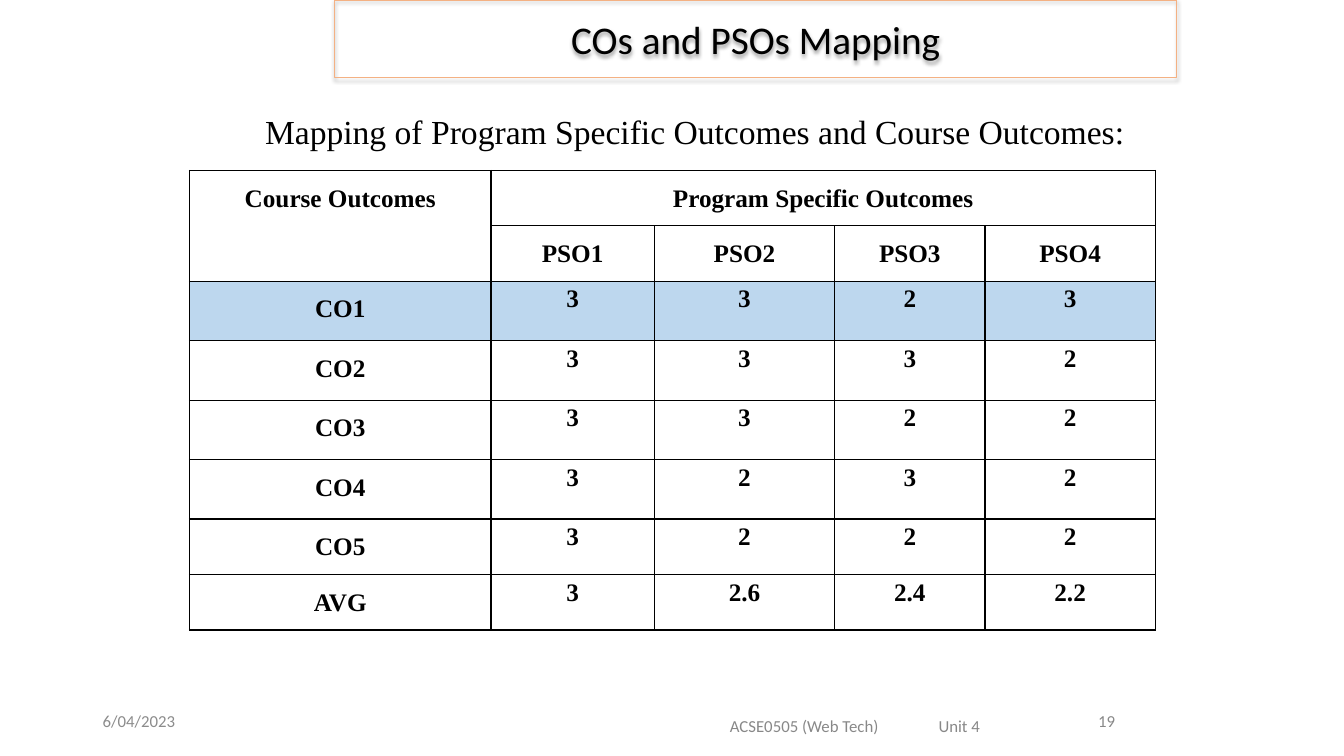
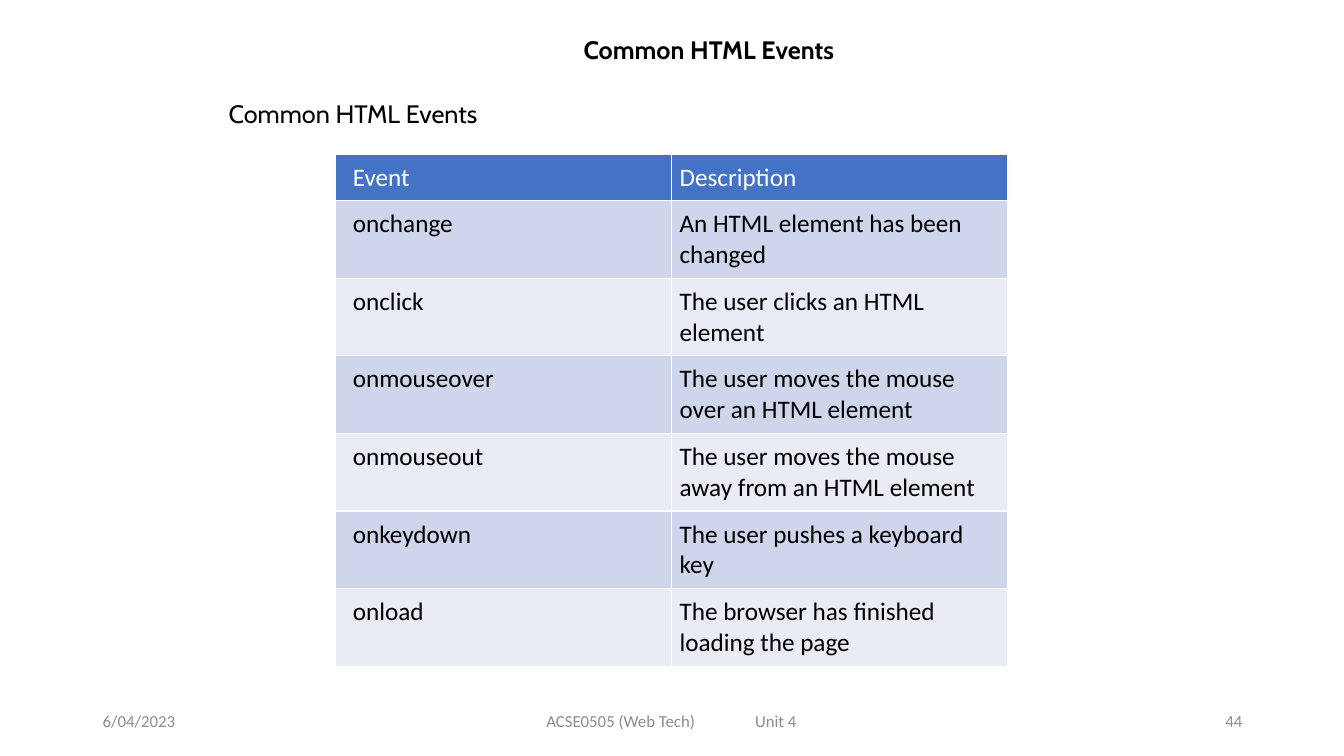
import pptx
import pptx.util
import pptx.dml.color
import pptx.enum.text
import pptx.oxml
import pptx.oxml.ns

PX = 9144  # 100 px to the inch
COLORS = {
    "black": "000000", "white": "FFFFFF", "grey": "8C8C8C", "light grey": "888888",
    "orange": "F4B183", "current": "BDD7EE",
    "header": "4472C4", "odd": "CFD5EA", "even": "E9EBF5",
}
ALIGN = pptx.enum.text.PP_ALIGN
ANCHOR = pptx.enum.text.MSO_ANCHOR
NAMESPACE = pptx.oxml.ns.nsdecls("a")
FOOTER_FONT = {"name": "Calibri", "size": pptx.util.Pt(12)}


def write(frame, text, font, color="black", **layout):
    """Put one formatted paragraph into a text frame."""
    para = frame.paragraphs[0]
    span = para.add_run()
    span.text = text
    for name, value in layout.items():
        setattr(para, name, value)
    for name, value in font.items():
        setattr(span.font, name, value)
    span.font.color.rgb = pptx.dml.color.RGBColor.from_string(COLORS[color])
    return para


def add_grid(page, left, top, widths, heights, border):
    """Add a plain table whose cells all have the same thin border."""
    table = page.shapes.add_table(len(heights), len(widths), left * PX, top * PX,
                                  sum(widths) * PX, sum(heights) * PX).table
    table.first_row = table.horz_banding = False
    for column, width in zip(table.columns, widths):
        column.width = width * PX
    for row, height in zip(table.rows, heights):
        row.height = height * PX
    for cell in table.iter_cells():
        properties = cell._tc.get_or_add_tcPr()
        for side in "LRTB":
            properties.append(pptx.oxml.parse_xml(
                f'<a:ln{side} {NAMESPACE} w="12700"><a:solidFill>'
                f'<a:srgbClr val="{COLORS[border]}"/></a:solidFill></a:ln{side}>'))
    return table


deck = pptx.Presentation()
deck.slide_width, deck.slide_height = 1333 * PX, 750 * PX

# Titles and footers
slides = [
    {"title": "COs and PSOs Mapping", "place": (332, 0, 835, 77),
     "font": {"name": "Calibri", "size": pptx.util.Pt(28), "bold": False},
     "frame": {"vertical_anchor": ANCHOR.MIDDLE, "word_wrap": True},
     "course": (714, 700, 269, 40), "course color": "light grey",
     "number": "19", "number place": (883, 695, 233, 40)},
    {"title": "Common HTML Events", "place": (558, 29, 290, 40),
     "font": {"name": "Cabin", "size": pptx.util.Pt(18), "bold": True},
     "frame": {"vertical_anchor": ANCHOR.TOP, "word_wrap": False},
     "course": (532, 695, 269, 40), "course color": "grey",
     "number": "44", "number place": (942, 695, 300, 40)},
]
pages = []
for slide in slides:
    page = deck.slides.add_slide(deck.slide_layouts[5])
    pages.append(page)
    title = page.shapes.title
    title.left, title.top, title.width, title.height = [n * PX for n in slide["place"]]
    title.text_frame.auto_size = pptx.enum.text.MSO_AUTO_SIZE.NONE
    for name, value in slide["frame"].items():
        setattr(title.text_frame, name, value)
    write(title.text_frame, slide["title"], slide["font"], alignment=ALIGN.CENTER)

    footers = [
        ("6/04/2023", (92, 695, 300, 40), "grey", ALIGN.LEFT),
        ("ACSE0505 (Web Tech)\tUnit 4", slide["course"], slide["course color"], ALIGN.LEFT),
        (slide["number"], slide["number place"], slide["course color"], ALIGN.RIGHT),
    ]
    for text, place, color, alignment in footers:
        frame = page.shapes.add_textbox(*[n * PX for n in place]).text_frame
        frame.word_wrap = True
        frame.vertical_anchor = ANCHOR.MIDDLE
        para = write(frame, text, FOOTER_FONT, color, alignment=alignment)
        if "\t" in text:
            para._p.get_or_add_pPr().append(pptx.oxml.parse_xml(
                f'<a:tabLst {NAMESPACE}><a:tab pos="{207 * PX}" algn="l"/></a:tabLst>'))

# Headings above the tables
headings = [
    ("Mapping of Program Specific Outcomes and Course Outcomes:", (253, 105, 915, 46),
     {"name": "Times New Roman", "size": pptx.util.Pt(24)}, 1.0),
    ("Common HTML Events", (217, 96, 900, 40),
     {"name": "Cabin", "size": pptx.util.Pt(18)}, 0.9),
]
for page, (text, place, font, spacing) in zip(pages, headings):
    frame = page.shapes.add_textbox(*[n * PX for n in place]).text_frame
    frame.word_wrap = True
    write(frame, text, font, line_spacing=spacing)

mapping_page, events_page = pages

# Outlined title with a soft shadow
banner = mapping_page.shapes.title
banner.line.color.rgb = pptx.dml.color.RGBColor.from_string(COLORS["orange"])
banner.line.width = pptx.util.Pt(0.75)
banner._element.spPr.append(pptx.oxml.parse_xml(
    f'<a:effectLst {NAMESPACE}><a:outerShdw blurRad="39370" dist="20320" dir="5400000" '
    f'rotWithShape="0"><a:srgbClr val="{COLORS["black"]}"><a:alpha val="38000"/>'
    '</a:srgbClr></a:outerShdw></a:effectLst>'))

# Outcome mapping table
mapping = [
    ["Course Outcomes", "Program Specific Outcomes", "", "", ""],
    ["", "PSO1", "PSO2", "PSO3", "PSO4"],
    ["CO1", "3", "3", "2", "3"],
    ["CO2", "3", "3", "3", "2"],
    ["CO3", "3", "3", "2", "2"],
    ["CO4", "3", "2", "3", "2"],
    ["CO5", "3", "2", "2", "2"],
    ["AVG", "3", "2.6", "2.4", "2.2"],
]
mapping_font = {"name": "Times New Roman", "size": pptx.util.Pt(18), "bold": True}
table = add_grid(mapping_page, 188, 169, [299, 162, 179, 149, 169],
                 [55, 55, 59, 59, 59, 59, 55, 55], "black")
table.cell(0, 0).merge(table.cell(1, 0))
table.cell(0, 1).merge(table.cell(0, 4))
for r, values in enumerate(mapping):
    for c, text in enumerate(values):
        cell = table.cell(r, c)
        cell.margin_left = cell.margin_right = 7 * PX
        cell.margin_top = cell.margin_bottom = (10 if r < 2 or c == 0 else 0) * PX
        if values[0] == "CO1":
            cell.fill.solid()
            cell.fill.fore_color.rgb = pptx.dml.color.RGBColor.from_string(COLORS["current"])
        else:
            cell.fill.background()
        if text:
            write(cell.text_frame, text, mapping_font,
                  alignment=ALIGN.CENTER, line_spacing=1.15)

# Event table
events = [
    ("Event", "Description"),
    ("onchange", "An HTML element has been changed"),
    ("onclick", "The user clicks an HTML element"),
    ("onmouseover", "The user moves the mouse over an HTML element"),
    ("onmouseout", "The user moves the mouse away from an HTML element"),
    ("onkeydown", "The user pushes a keyboard key"),
    ("onload", "The browser has finished loading the page"),
]
event_font = {"name": "Calibri", "size": pptx.util.Pt(18), "bold": False}
table = add_grid(events_page, 333, 153, [333, 333], [46] + [77] * 6, "white")
for r, values in enumerate(events):
    fill = "header" if r == 0 else "odd" if r % 2 else "even"
    for c, text in enumerate(values):
        cell = table.cell(r, c)
        cell.margin_left = (17, 8)[c] * PX
        cell.margin_right = cell.margin_top = cell.margin_bottom = 8 * PX
        cell.fill.solid()
        cell.fill.fore_color.rgb = pptx.dml.color.RGBColor.from_string(COLORS[fill])
        write(cell.text_frame, text, event_font, "white" if r == 0 else "black")

deck.save("out.pptx")
